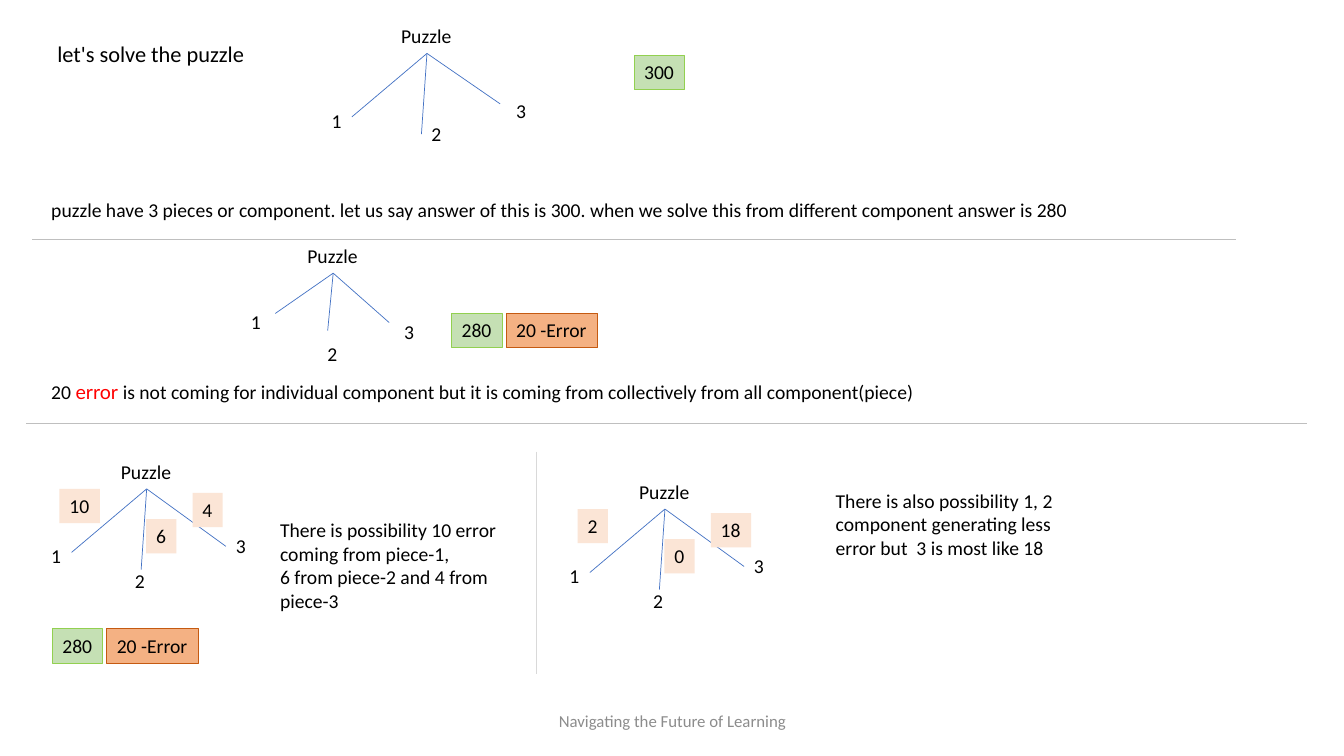
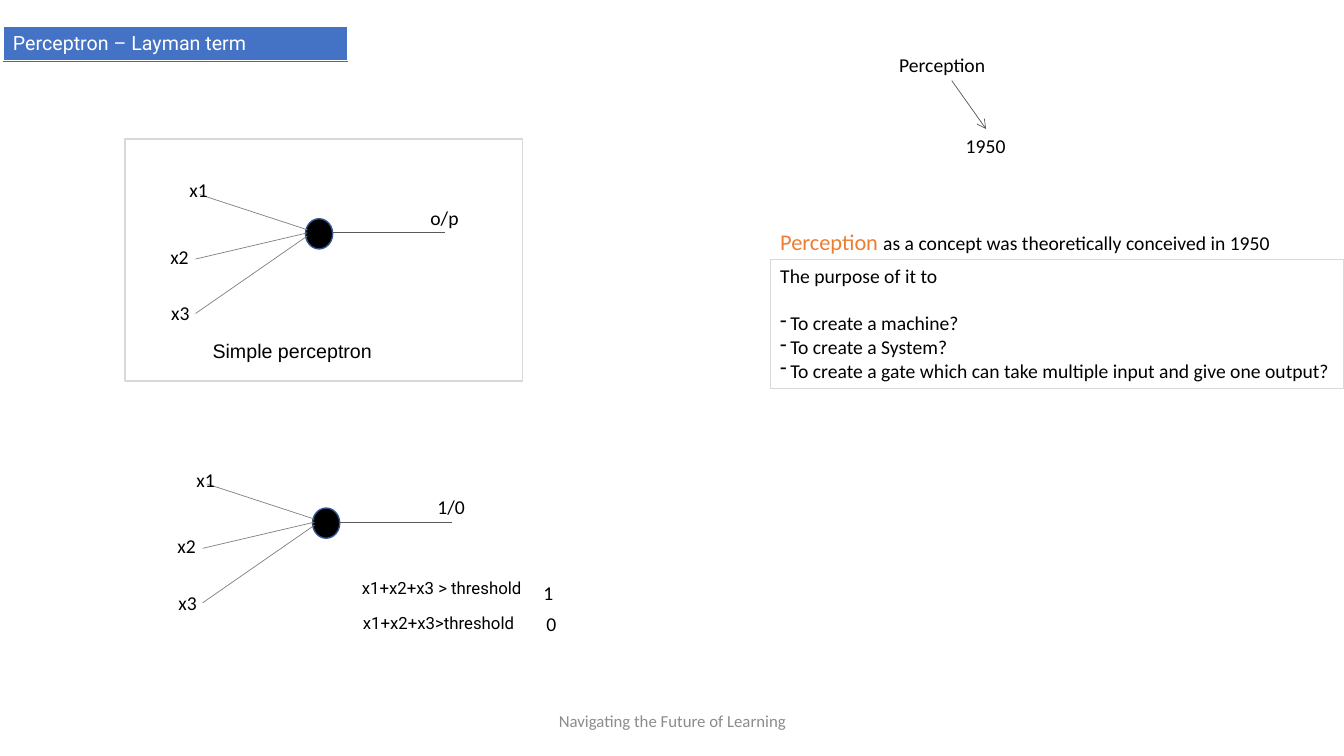
from lxml.etree import SubElement
from pptx import Presentation
from pptx.dml.color import RGBColor
from pptx.enum.shapes import MSO_CONNECTOR, MSO_SHAPE
from pptx.enum.text import MSO_ANCHOR, PP_ALIGN
from pptx.oxml.ns import qn
from pptx.util import Pt

PX = 9144  # EMU: 100 px to the inch
ROW = 34   # height of a one-line label

BLACK = RGBColor(0x00, 0x00, 0x00)
WHITE = RGBColor(0xFF, 0xFF, 0xFF)
RED = RGBColor(0xFF, 0x00, 0x00)
ORANGE = RGBColor(0xED, 0x7D, 0x31)
BLUE = RGBColor(0x44, 0x72, 0xC4)
TITLE_RULE = RGBColor(0x2E, 0x75, 0xB6)
NEURON_EDGE = RGBColor(0x32, 0x54, 0x91)
FOOTER_GREY = RGBColor(0x8C, 0x8C, 0x8C)
DARK_GREY = RGBColor(0x59, 0x59, 0x59)
MID_GREY = RGBColor(0x80, 0x80, 0x80)
RULE_GREY = RGBColor(0xBF, 0xBF, 0xBF)
PALE_GREY = RGBColor(0xD9, 0xD9, 0xD9)
ANSWER_FILL = RGBColor(0xC5, 0xE0, 0xB4)
ANSWER_EDGE = RGBColor(0x92, 0xD0, 0x50)
ERROR_FILL = RGBColor(0xF4, 0xB1, 0x83)
ERROR_EDGE = RGBColor(0xC5, 0x5A, 0x11)
SHARE_FILL = RGBColor(0xFB, 0xE5, 0xD6)

# Branches of a puzzle: label, label offset, then tip offset from the root label;
# without a tip the branch is joined to the left side of its label.
LEFT_PIECE = ("1", (-69, 84), (-39, 97))
RIGHT_PIECE = ("3", (114, 74), None)
WHOLE = [LEFT_PIECE, ("2", (30, 97), None), ("3", (114, 74), (108, 84))]
SOLVED = [("1", (-56, 66), (-22, 74)), ("2", (20, 97), (30, 91)),
          ("3", (96, 75), (91, 83))]
SHARED = [LEFT_PIECE, ("2", (14, 108), (30, 114)), RIGHT_PIECE]
SHARE_OFFSETS = [(-51, 34), (35, 64), (81, 38)]

# Inputs of a neuron: label offset, line start and line end from its corner
INPUTS = {"x1": ((-125, -45), (2, 11), (-105, -24)),
          "x2": ((-144, 21), (2, 14), (-109, 40)),
          "x3": ((-143, 77), (2, 17), (-109, 94))}


def set_font(font, size=14, color=BLACK, name="Calibri"):
    font.size, font.name = Pt(size), name
    font.color.rgb = color


def set_bullet(paragraph, char, indent):
    props = paragraph._p.get_or_add_pPr()
    props.set("marL", str(indent * PX))
    props.set("indent", str(-indent * PX))
    SubElement(props, qn("a:buChar")).set("char", char)


class Deck:
    """Holds the presentation, its style and the slide being drawn."""

    def __init__(self, width, height):
        self.prs = Presentation()
        self.prs.slide_width, self.prs.slide_height = width * PX, height * PX

    def new_slide(self):
        self.shapes = self.prs.slides.add_slide(self.prs.slide_layouts[6]).shapes
        footer = self.text("Navigating the Future of Learning", 442, 695, 450, 40,
                           size=12, color=FOOTER_GREY)
        footer.text_frame.vertical_anchor = MSO_ANCHOR.MIDDLE
        footer.text_frame.paragraphs[0].alignment = PP_ALIGN.CENTER

    def box(self, x, y, w, h=ROW, wrap=False, fill=None, edge=None):
        label = self.shapes.add_textbox(x * PX, y * PX, w * PX, h * PX)
        label.text_frame.word_wrap = wrap
        if fill is not None:
            label.fill.solid()
            label.fill.fore_color.rgb = fill
        if edge is not None:
            label.line.color.rgb = edge
            label.line.width = Pt(0.75)
        return label

    def text(self, words, x, y, w, h=ROW, size=14, color=BLACK, font="Calibri", **look):
        """Text in one font, a paragraph to each line."""
        label = self.box(x, y, w, h, **look)
        label.text_frame.text = words
        for paragraph in label.text_frame.paragraphs:
            set_font(paragraph.font, size, color, font)
        return label

    def mixed_text(self, runs, x, y, w, h=ROW, **look):
        """One paragraph of (words, font settings) runs."""
        paragraph = self.box(x, y, w, h, **look).text_frame.paragraphs[0]
        for words, settings in runs:
            run = paragraph.add_run()
            run.text = words
            set_font(run.font, **settings)

    def bullets(self, intro, items, x, y, w, h, **look):
        frame = self.text(intro, x, y, w, h, **look).text_frame
        for number, item in enumerate(items):
            paragraph = frame.add_paragraph()
            paragraph.text = item
            set_bullet(paragraph, "-", 10)
            if number == 0:
                paragraph.space_before = Pt(17)
            set_font(paragraph.font)

    def outline(self, preset, x, y, w, h, edge, fill=None):
        figure = self.shapes.add_shape(preset, x * PX, y * PX, w * PX, h * PX)
        figure.shadow.inherit = False
        if fill is None:
            figure.fill.background()
        else:
            figure.fill.solid()
            figure.fill.fore_color.rgb = fill
        figure.line.color.rgb = edge
        figure.line.width = Pt(1)

    def line(self, start, end, color, arrow=False, begin=None, finish=None):
        """Line between two points; begin and finish are (shape, side) joints."""
        link = self.shapes.add_connector(MSO_CONNECTOR.STRAIGHT,
                                         *(v * PX for v in (*start, *end)))
        if begin:
            link.begin_connect(*begin)
        if finish:
            link.end_connect(*finish)
        link.line.color.rgb = color
        link.line.width = Pt(0.5)
        if arrow:
            SubElement(link.line._get_or_add_ln(), qn("a:tailEnd")).set("type", "arrow")
        SubElement(link._element.spPr, qn("a:effectLst"))

    def puzzle(self, x, y, pieces, shares=()):
        root = self.text("Puzzle", x, y, 71)
        for name, (dx, dy), tip in pieces:
            piece = self.text(name, x + dx, y + dy, 30)
            end = tip or (dx, dy + ROW // 2)
            self.line((x + 35, y + ROW), (x + end[0], y + end[1]), BLUE,
                      begin=(root, 2), finish=None if tip else (piece, 1))
        for share, (dx, dy) in zip(shares, SHARE_OFFSETS):
            self.text(share, x + dx, y + dy, 20 + 10 * len(share), fill=SHARE_FILL)

    def answer(self, value, x, y):
        self.text(value, x, y, 50, fill=ANSWER_FILL, edge=ANSWER_EDGE)

    def answer_with_error(self, x, y):
        self.answer("280", x, y)
        self.text("20 -Error", x + 54, y, 91, fill=ERROR_FILL, edge=ERROR_EDGE)

    def neuron(self, x, y, output):
        self.outline(MSO_SHAPE.OVAL, x, y, 27, 30, NEURON_EDGE, BLACK)
        for name, (label, start, end) in INPUTS.items():
            self.line((x + start[0], y + start[1]), (x + end[0], y + end[1]), MID_GREY)
            self.text(name, x + label[0], y + label[1], 39)
        self.line((x + 27, y + 14), (x + 138, y + 14), DARK_GREY)
        self.text(output, x + 114, y - 18, 48)

    def title(self, words):
        self.text(words, 3, 26, 342, color=WHITE, font="Roboto", wrap=True,
                  fill=BLUE, edge=WHITE)
        self.line((3, 61), (345, 61), TITLE_RULE)


def puzzle_slide(deck):
    deck.new_slide()
    deck.text("let's solve the puzzle", 47, 35, 208, 37, size=16)
    deck.puzzle(388, 19, WHOLE)
    deck.answer("300", 629, 55)
    deck.text("puzzle have 3 pieces or component. let us say answer of this is 300. "
              "when we solve this from different component answer is 280",
              41, 191, 1037, 57)
    deck.line((32, 237), (1226, 237), RULE_GREY)

    deck.puzzle(295, 237, SOLVED)
    deck.answer_with_error(448, 311)
    deck.mixed_text([("20 ", {}), ("error ", {"color": RED, "name": "Lato"}),
                     ("is not coming for individual component but it is coming from "
                      "collectively from all component(piece)", {})],
                    41, 372, 1157, wrap=True)
    deck.line((26, 420), (1296, 420), RULE_GREY)

    deck.puzzle(110, 451, SHARED, ("10", "6", "4"))
    deck.answer_with_error(52, 624)
    deck.text("There is possibility 10 error coming from piece-1,\n"
              "6 from piece-2 and 4 from piece-3", 268, 509, 236, 104, wrap=True)
    deck.line((532, 448), (532, 669), PALE_GREY)
    deck.puzzle(624, 471, SHARED, ("2", "0", "18"))
    deck.text("There is also possibility 1, 2 component generating less error but  "
              "3 is most like 18", 819, 480, 236, 81, wrap=True)


def perceptron_slide(deck):
    deck.new_slide()
    deck.title("Perceptron – Layman term")

    deck.text("Perception", 882, 48, 106)
    year = deck.text("1950", 948, 128, 60)
    deck.line((944, 80), (978, 128), DARK_GREY, arrow=True, finish=(year, 0))
    deck.mixed_text([("Perception ", {"size": 16, "color": ORANGE}),
                     ("as a concept was theoretically conceived in 1950", {})],
                    764, 221, 511, 37)
    deck.bullets("The purpose of it to",
                 ["To create a machine?", "To create a System?",
                  "To create a gate which can take multiple input and give one output?"],
                 764, 257, 569, 128, edge=PALE_GREY)

    deck.neuron(303, 217, "o/p")
    deck.text("Simple perceptron", 201, 331, 179, font="Arial")
    deck.outline(MSO_SHAPE.RECTANGLE, 124, 138, 394, 240, PALE_GREY)

    deck.neuron(310, 504, "1/0")
    deck.text("x1+x2+x3 > threshold", 349, 568, 191, 30, size=12, font="Roboto")
    deck.text("1", 529, 571, 34, wrap=True)
    deck.text("x1+x2+x3>threshold", 350, 603, 181, 30, size=12, font="Roboto")
    deck.text("0", 532, 602, 34, wrap=True)


def main():
    deck = Deck(1333, 750)
    puzzle_slide(deck)
    perceptron_slide(deck)
    deck.prs.save("out.pptx")


if __name__ == "__main__":
    main()
